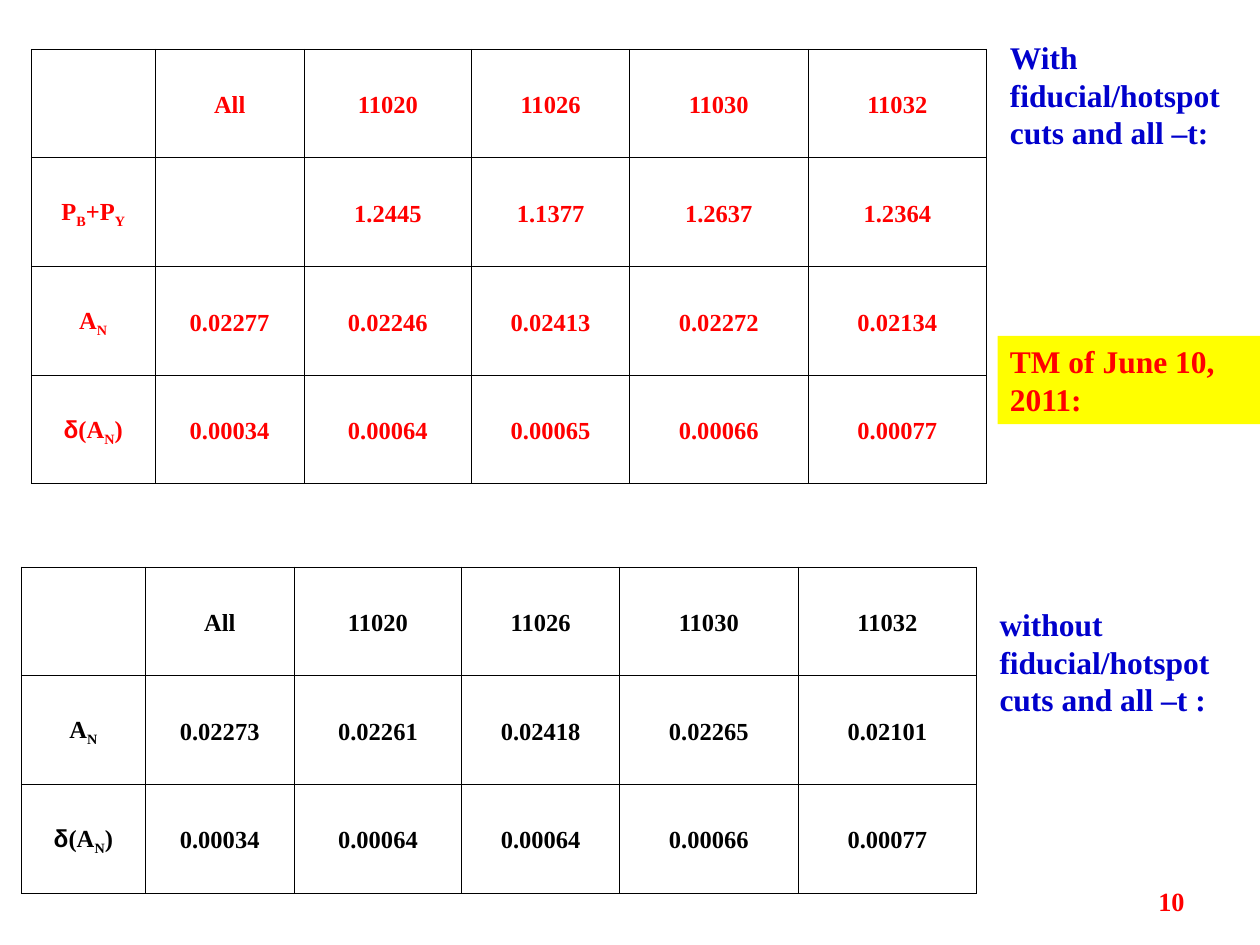
"""Build the slide that compares asymmetries with and without fiducial cuts."""
from dataclasses import dataclass
from itertools import groupby

from lxml.etree import SubElement
from pptx import Presentation
from pptx.dml.color import RGBColor
from pptx.enum.shapes import MSO_SHAPE
from pptx.enum.text import MSO_ANCHOR, MSO_AUTO_SIZE, PP_ALIGN
from pptx.oxml.ns import qn
from pptx.util import Cm, Pt


@dataclass(frozen=True)
class Theme:
    """Fonts, colours and type sizes of the slide."""

    font: str = "Times New Roman"
    greek_font: str = "Arial"
    black: str = "000000"
    red: str = "FF0000"
    blue: str = "0000CC"
    yellow: str = "FFFF00"
    cell_size: float = 14
    note_size: float = 18
    number_size: float = 15
    border: float = 0.45


def write_text(para, text, *, font, size, color, bold=True, subscript=False):
    """Add one formatted span to a paragraph."""
    span = para.add_run()
    span.text = text
    span.font.name = font
    span.font.size = Pt(size)
    span.font.bold = bold
    span.font.color.rgb = RGBColor.from_string(color)
    if subscript:
        span.font._element.set("baseline", "-25000")


def split_symbols(text):
    """Yield pieces of text as (piece, is_greek, is_subscript); "_" lowers the next letter."""
    marked = [
        (letter, letter == "δ", before == "_")
        for before, letter in zip(" " + text, text)
        if letter != "_"
    ]
    for (greek, lowered), letters in groupby(marked, key=lambda mark: mark[1:]):
        yield "".join(mark[0] for mark in letters), greek, lowered


class SlideBuilder:
    """Hold the theme and the current slide and add elements to it."""

    def __init__(self, page, theme):
        """Keep the page and its theme."""
        self.page = page
        self.theme = theme

    def fill_box(self, box, text, size, color, align=PP_ALIGN.LEFT,
                 anchor=MSO_ANCHOR.TOP, grow=True):
        """Write one paragraph in a box."""
        frame = box.text_frame
        frame.word_wrap = True
        frame.auto_size = MSO_AUTO_SIZE.SHAPE_TO_FIT_TEXT if grow else MSO_AUTO_SIZE.NONE
        frame.vertical_anchor = anchor
        para = frame.paragraphs[0]
        para.alignment = align
        write_text(para, text, font=self.theme.font, size=size, color=color)

    def add_note(self, text, left, top, width, height):
        """Add a blue remark beside a table."""
        box = self.page.shapes.add_textbox(Cm(left), Cm(top), Cm(width), Cm(height))
        self.fill_box(box, text, self.theme.note_size, self.theme.blue)

    def add_banner(self, text, left, top, width, height):
        """Add a highlighted remark."""
        box = self.page.shapes.add_shape(
            MSO_SHAPE.RECTANGLE, Cm(left), Cm(top), Cm(width), Cm(height))
        box.shadow.inherit = False
        box.fill.solid()
        box.fill.fore_color.rgb = RGBColor.from_string(self.theme.yellow)
        box.line.fill.background()
        self.fill_box(box, text, self.theme.note_size, self.theme.red)

    def add_page_number(self, text, left, top, width, height):
        """Add the number at the foot of the slide."""
        box = self.page.shapes.add_textbox(Cm(left), Cm(top), Cm(width), Cm(height))
        self.fill_box(box, text, self.theme.number_size, self.theme.red,
                      PP_ALIGN.RIGHT, MSO_ANCHOR.MIDDLE, grow=False)

    def add_table(self, rows, left, top, widths, row_height, color):
        """Add a ruled table of centred values."""
        table = self.page.shapes.add_table(
            len(rows), len(widths), Cm(left), Cm(top),
            Cm(sum(widths)), Cm(row_height * len(rows))).table
        table.first_row = table.horz_banding = False
        for column, width in zip(table.columns, widths):
            column.width = Cm(width)
        for line, texts in zip(table.rows, rows):
            line.height = Cm(row_height)
            for cell, text in zip(line.cells, texts):
                self.format_cell(cell, text, color)

    def format_cell(self, cell, text, color):
        """Rule one table cell and write its text."""
        cell.margin_left = cell.margin_right = Cm(0.2)
        cell.margin_top = cell.margin_bottom = Cm(0.13)
        cell.vertical_anchor = MSO_ANCHOR.MIDDLE
        properties = cell._tc.get_or_add_tcPr()
        for side in ("a:lnL", "a:lnR", "a:lnT", "a:lnB"):
            line = SubElement(properties, qn(side), w=str(Pt(self.theme.border)))
            fill = SubElement(line, qn("a:solidFill"))
            SubElement(fill, qn("a:srgbClr"), val=self.theme.black)
        cell.fill.background()
        para = cell.text_frame.paragraphs[0]
        para.alignment = PP_ALIGN.CENTER
        para.line_spacing = 1.15
        for piece, greek, lowered in split_symbols(text):
            write_text(para, piece, size=self.theme.cell_size, color=color,
                       font=self.theme.greek_font if greek else self.theme.font,
                       subscript=lowered)


def main():
    """Build and save the deck."""
    theme = Theme()
    deck = Presentation()
    deck.slide_width, deck.slide_height = Cm(25.4), Cm(19.05)
    blank_layout = deck.slide_layouts[6]
    builder = SlideBuilder(deck.slides.add_slide(blank_layout), theme)

    widths = [2.5, 3, 3.38, 3.18, 3.6, 3.6]
    row_height = 2.19
    header = ["", "All", "11020", "11026", "11030", "11032"]
    without_cuts = [
        header,
        ["A_N", "0.02273", "0.02261", "0.02418", "0.02265", "0.02101"],
        ["δ(A_N)", "0.00034", "0.00064", "0.00064", "0.00066", "0.00077"],
    ]
    with_cuts = [
        header,
        ["P_B+P_Y", "", "1.2445", "1.1377", "1.2637", "1.2364"],
        ["A_N", "0.02277", "0.02246", "0.02413", "0.02272", "0.02134"],
        ["δ(A_N)", "0.00034", "0.00064", "0.00065", "0.00066", "0.00077"],
    ]

    builder.add_table(without_cuts, 0.43, 11.43, widths, row_height, theme.black)
    builder.add_note("without fiducial/hotspot cuts and all –t :", 19.9, 12.07, 5.08, 2.54)
    builder.add_table(with_cuts, 0.63, 0.99, widths, row_height, theme.red)
    builder.add_note("With fiducial/hotspot cuts and all –t:", 20.11, 0.64, 5.29, 2.54)
    builder.add_banner("TM of June 10, 2011:", 20.11, 6.77, 5.29, 1.78)
    builder.add_page_number("10", 18.2, 17.65, 5.93, 1.02)
    deck.save("out.pptx")


if __name__ == "__main__":
    main()
